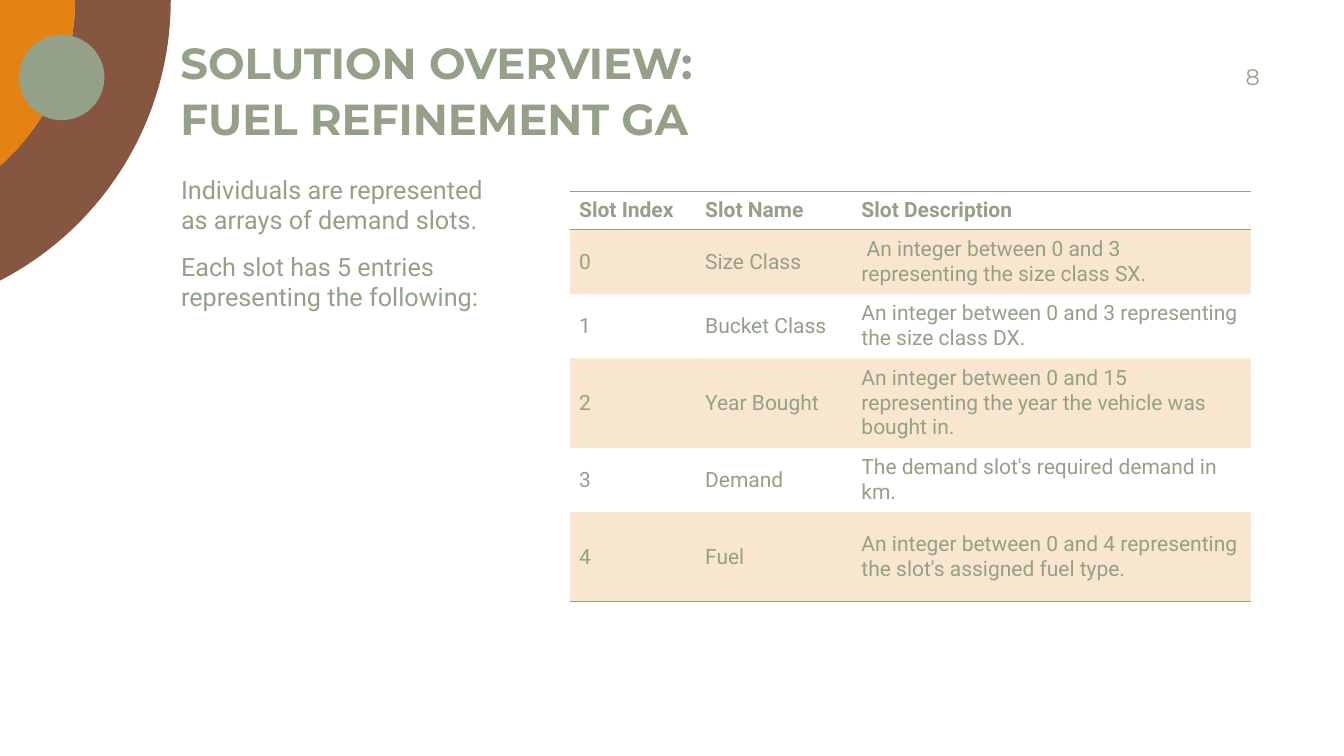
from dataclasses import dataclass
from math import acos, cos, sin, tan

from lxml import etree
from pptx import Presentation
from pptx.dml import color
from pptx.enum import shapes, text
from pptx.oxml import ns
from pptx.util import Inches, Pt


@dataclass(frozen=True)
class Theme:
    sage: str = "94A088"
    brown: str = "865640"
    orange: str = "E48312"
    head: str = "Montserrat"
    body: str = "Roboto"
    title: int = 31
    lead: int = 18
    page: int = 16
    cell: int = 15


T = Theme()
WIDE, HIGH = Inches(40 / 3), Inches(7.5)
MID = text.MSO_ANCHOR.MIDDLE
PLAIN = "{2D5ABB26-0587-4C30-8999-92F81FD0307C}"  # table style without grid

# Table content; columns and rows are percentages of the slide
COLS = (9.38, 11.63, 29.63)
ROWS = (
    (5.07, "Slot Index", "Slot Name", "Slot Description"),
    (8.5, "0", "Size Class",
     " An integer between 0 and 3 representing the size class SX."),
    (8.5, "1", "Bucket Class",
     "An integer between 0 and 3 representing the size class DX."),
    (11.85, "2", "Year Bought",
     "An integer between 0 and 15 representing the year the vehicle was bought in."),
    (8.5, "3", "Demand", "The demand slot's required demand in km."),
    (11.85, "4", "Fuel",
     "An integer between 0 and 4 representing the slot's assigned fuel type."),
)


def across(share):
    return round(WIDE * share / 100)


def down(share):
    return round(HIGH * share / 100)


def box(x, y, w, h):
    return across(x), down(y), across(w), down(h)


def paint(shape, hue):
    shape.fill.solid()
    shape.fill.fore_color.rgb = color.RGBColor.from_string(hue)
    shape.line.fill.background()
    shape.shadow.inherit = False


def style(par, size, face, bold=False, after=0, lead=None):
    font = par.font
    font.size, font.name, font.bold = Pt(size), face, bold
    font.color.rgb = color.RGBColor.from_string(T.sage)
    par.space_before, par.space_after = Pt(0), Pt(after)
    par.line_spacing = lead


def write(shape, area, lines, anchor, pads, align, **look):
    """Place a text shape and fill it, one paragraph per line."""
    shape.left, shape.top, shape.width, shape.height = area
    frame = shape.text_frame
    frame.word_wrap, frame.auto_size = True, text.MSO_AUTO_SIZE.NONE
    frame.vertical_anchor = anchor
    (frame.margin_left, frame.margin_top,
     frame.margin_right, frame.margin_bottom) = map(Inches, pads)
    frame.text = "\n".join(lines)
    for par in frame.paragraphs:
        par.alignment = align
        style(par, **look)
        props = par._p.get_or_add_pPr()
        props.set("marL", "0")
        props.set("indent", "0")
        mark = props.makeelement(ns.qn("a:buNone"))
        props.insert_element_before(mark, "a:tabLst", "a:defRPr", "a:extLst")


def arc(hub, ray):
    """Bezier points from the top edge of the slide to its left edge."""
    end = acos(-hub / ray)
    pull = 4 / 3 * tan(end / 4)
    spots = ((1, 0), (1, pull),
             (cos(end) + pull * sin(end), sin(end) - pull * cos(end)),
             (cos(end), sin(end)))
    return [(across(hub + ray * x), across(ray * y)) for x, y in spots]


def patch(slide, points, hue, bends):
    """Fill an outline; each bend is the first of three points of a curve."""
    form = slide.shapes.build_freeform(*points[0])
    form.add_line_segments(points[1:], close=True)
    shape = form.convert_to_shape()
    lines = list(shape._element.iter(ns.qn("a:lnTo")))
    for i in bends:
        curve = etree.Element(ns.qn("a:cubicBezTo"))
        lines[i].addprevious(curve)
        for line in lines[i:i + 3]:
            curve.append(line[0])
            line.getparent().remove(line)
    paint(shape, hue)


def corner(slide):
    hub = -10.8
    outer, inner = arc(hub, 23.51), arc(hub, 16.39)
    patch(slide, outer + inner[::-1], T.brown, (0, 4))
    patch(slide, inner + [(0, 0)], T.orange, (0,))
    dot = slide.shapes.add_shape(
        shapes.MSO_SHAPE.OVAL, *box(1.41, 4.6, 6.36, 11.3))
    paint(dot, T.sage)


def rule(cell, side):
    """Draw one border: lnT for the top, lnB for the bottom."""
    props = cell._tc.get_or_add_tcPr()
    line = etree.Element(ns.qn("a:" + side), w=str(Pt(1)))
    fill = etree.SubElement(line, ns.qn("a:solidFill"))
    etree.SubElement(fill, ns.qn("a:srgbClr"), val=T.sage)
    props.insert(len(props.findall(ns.qn("a:lnT"))), line)


def tint(cell):
    cell.fill.solid()
    cell.fill.fore_color.rgb = color.RGBColor.from_string(T.orange)
    hue = cell._tc.tcPr.find(".//" + ns.qn("a:srgbClr"))
    etree.SubElement(hue, ns.qn("a:alpha"), val="20000")


def grid(slide):
    area = box(42.42, 25.33, sum(COLS), sum(row[0] for row in ROWS))
    table = slide.shapes.add_table(len(ROWS), len(COLS), *area).table
    table.horz_banding = False
    table._tbl.tblPr.find(ns.qn("a:tableStyleId")).text = PLAIN
    for col, share in zip(table.columns, COLS):
        col.width = across(share)
    for i, (share, *words) in enumerate(ROWS):
        table.rows[i].height = down(share)
        for cell, word in zip(table.rows[i].cells, words):
            cell.text = word
            cell.vertical_anchor = MID
            cell.margin_left = cell.margin_right = Inches(0.09)
            cell.margin_top = cell.margin_bottom = Inches(0.04)
            style(cell.text_frame.paragraphs[0], T.cell, T.body, bold=i == 0)
            if i % 2:
                tint(cell)
            else:
                cell.fill.background()
            if i == 0:
                rule(cell, "lnT")
            if i in (0, len(ROWS) - 1):
                rule(cell, "lnB")


def main():
    deck = Presentation()
    deck.slide_width, deck.slide_height = WIDE, HIGH
    slide = deck.slides.add_slide(deck.slide_layouts[1])
    left, right = text.PP_ALIGN.LEFT, text.PP_ALIGN.RIGHT

    # Corner art, behind the text
    corner(slide)
    for holder in list(slide.placeholders):
        slide.shapes._spTree.append(holder._element)

    # Title, lead text and page number
    write(slide.shapes.title, box(12.68, 4.85, 81, 14.27),
          ("SOLUTION OVERVIEW:", "FUEL REFINEMENT GA"),
          text.MSO_ANCHOR.BOTTOM, (0.1, 0, 0.1, 0), left,
          size=T.title, face=T.head, bold=True, after=6, lead=0.9)
    write(slide.placeholders[1], box(12.72, 23, 24.38, 54),
          ("Individuals are represented as arrays of demand slots.",
           "Each slot has 5 entries representing the following:"),
          text.MSO_ANCHOR.TOP, (0.1, 0, 0.1, 0), left,
          size=T.lead, face=T.body, after=12)
    area = box(84.97, 6.67, 8.78, 6.93)
    write(slide.shapes.add_textbox(*area), area, ("8",),
          MID, (0.1, 0.05, 0, 0.05), right,
          size=T.page, face=T.head, after=6)

    # Slot table
    grid(slide)
    deck.save("out.pptx")


if __name__ == "__main__":
    main()
